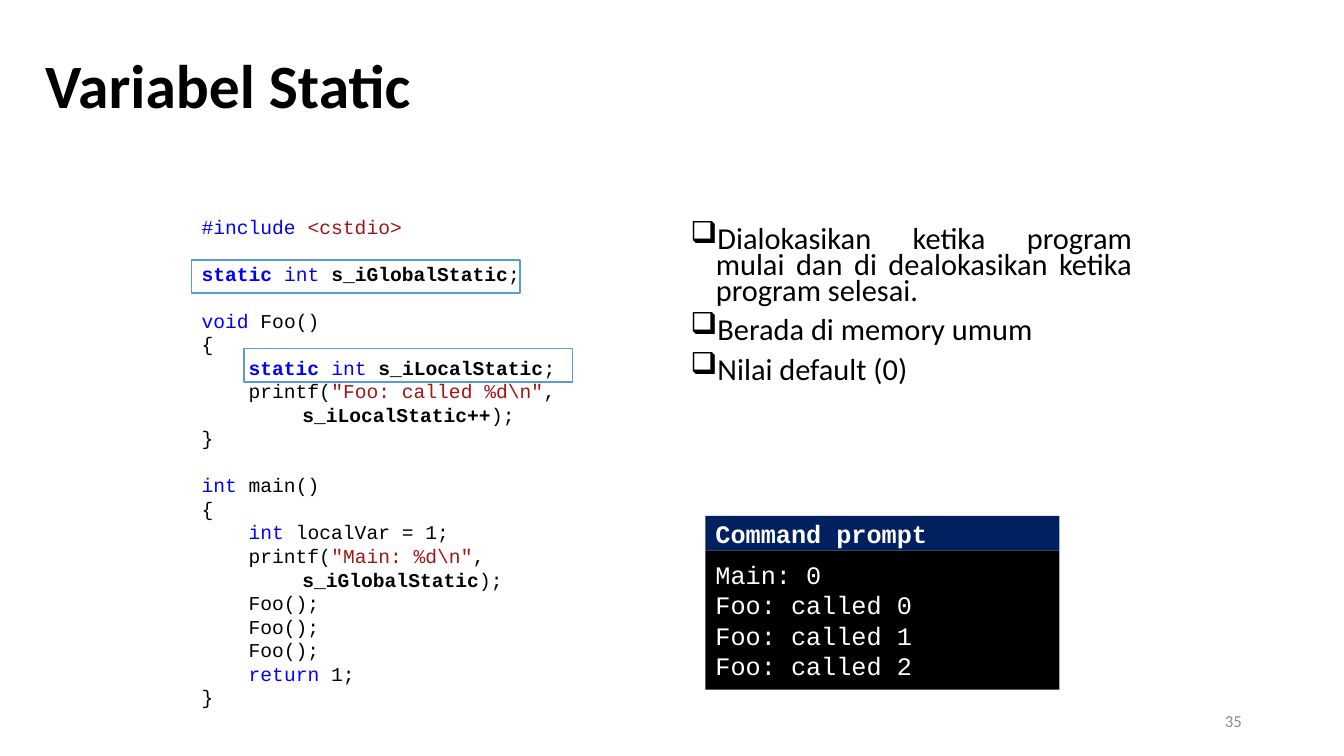
from dataclasses import dataclass
from typing import NamedTuple

from lxml import etree
from pptx import Presentation
from pptx.dml.color import RGBColor
from pptx.enum.shapes import MSO_SHAPE
from pptx.enum.text import MSO_ANCHOR, PP_ALIGN
from pptx.oxml.ns import qn
from pptx.util import Cm, Pt

RECT = MSO_SHAPE.RECTANGLE
TOP, MIDDLE = MSO_ANCHOR.TOP, MSO_ANCHOR.MIDDLE
LEFT, RIGHT, JUSTIFY = PP_ALIGN.LEFT, PP_ALIGN.RIGHT, PP_ALIGN.JUSTIFY

SANS, MONO = "Calibri", "Courier New"
BLACK, WHITE, NAVY = "000000", "FFFFFF", "002060"
BLUE, RED, SKY, GRAY = "0000FF", "A31515", "5B9BD5", "8C8C8C"


class Box(NamedTuple):
    """Left, top, width and height in centimetres."""
    x: float
    y: float
    w: float
    h: float


class Span(NamedTuple):
    text: str
    color: str = BLACK
    bold: bool = False


@dataclass
class Line:
    spans: list[Span]
    before: float = 0


@dataclass
class Style:
    font: str
    size: float
    align: PP_ALIGN = LEFT
    anchor: MSO_ANCHOR = TOP
    space: float = 1
    bullet: str = ""


def rgb(color: str) -> RGBColor:
    return RGBColor.from_string(color)


def place(box: Box) -> list[Cm]:
    return [Cm(side) for side in box]


def mark(para, sign: str) -> None:
    """Give a paragraph a bullet with a hanging indent."""
    props = para._p.get_or_add_pPr()
    props.set("marL", str(Cm(0.64)))
    props.set("indent", str(-Cm(0.64)))
    etree.SubElement(props, qn("a:buChar")).set("char", sign)


def write(shape, lines: list[Line], style: Style) -> None:
    frame = shape.text_frame
    frame.word_wrap = True
    frame.vertical_anchor = style.anchor
    for i, line in enumerate(lines):
        para = frame.add_paragraph() if i else frame.paragraphs[0]
        if style.bullet:
            mark(para, style.bullet)
        para.alignment = style.align
        para.line_spacing = style.space
        para.space_before = Pt(line.before)
        for span in line.spans:
            run = para.add_run()
            run.text = span.text
            run.font.name = style.font
            run.font.size = Pt(style.size)
            run.font.bold = span.bold
            run.font.color.rgb = rgb(span.color)


def label(shapes, box: Box, lines: list[Line], style: Style) -> None:
    write(shapes.add_textbox(*place(box)), lines, style)


def panel(shapes, box: Box, fill: str = "", edge: str = ""):
    shape = shapes.add_shape(RECT, *place(box))
    shape.shadow.inherit = False
    if fill:
        shape.fill.solid()
        shape.fill.fore_color.rgb = rgb(fill)
    else:
        shape.fill.background()
    if edge:
        shape.line.color.rgb = rgb(edge)
        shape.line.width = Pt(1)
    else:
        shape.line.fill.background()
    return shape


def plain(text: str, color: str = BLACK, bold: bool = False, before: float = 0) -> Line:
    return Line([Span(text, color, bold)], before)


def static(name: str, lead: str = "", before: float = 0) -> Line:
    """Code line that declares a static integer."""
    return Line([Span(lead + "static ", BLUE, True), Span("int ", BLUE),
                 Span(name, BLACK, True), Span(";")], before)


def head(kind: str, name: str) -> Line:
    return Line([Span(kind, BLUE), Span(f" {name}()")], GAP)


def output(text: str, name: str) -> list[Line]:
    """Two code lines that print a static variable."""
    return [Line([Span("    printf("), Span(text, RED), Span(",")]),
            Line([Span("\t\t"), Span(name, BLACK, True), Span(");")])]


GAP = 16.8  # one empty line of code
CODE = [
    Line([Span("#include ", BLUE), Span("<cstdio>", RED)]),
    static("s_iGlobalStatic", before=GAP),
    head("void", "Foo"),
    plain("{"),
    static("s_iLocalStatic", lead="    "),
    *output('"Foo: called %d\\n"', "s_iLocalStatic++"),
    plain("}"),
    head("int", "main"),
    plain("{"),
    Line([Span("    "), Span("int ", BLUE), Span("localVar = 1;")]),
    *output('"Main: %d\\n"', "s_iGlobalStatic"),
    *[plain("    Foo();")] * 3,
    Line([Span("    "), Span("return", BLUE), Span(" 1;")]),
    plain("}"),
]
POINTS = [
    "Dialokasikan ketika program mulai dan di dealokasikan ketika program selesai.",
    "Berada di memory umum",
    "Nilai default (0)",
]
PROMPT = ["Main: 0", *[f"Foo: called {n}" for n in range(3)]]
FRAMES = [Box(4.83, 6.55, 8.28, 0.84), Box(6.15, 8.79, 8.28, 0.84)]


def main() -> None:
    deck = Presentation()
    deck.slide_width, deck.slide_height = Cm(33.87), Cm(19.05)
    shapes = deck.slides.add_slide(deck.slide_layouts[6]).shapes

    label(shapes, Box(0.89, 0.38, 27.89, 3.68), [plain("Variabel Static", bold=True)],
          Style(SANS, 44, anchor=MIDDLE, space=0.9))
    label(shapes, Box(17.15, 5.66, 11.63, 4.5),
          [plain(text, before=10 if i else 0) for i, text in enumerate(POINTS)],
          Style(SANS, 21.7, JUSTIFY, space=0.7, bullet="❑"))
    label(shapes, Box(4.83, 5.28, 12.7, 12.83), CODE, Style(MONO, 14))
    for box in FRAMES:
        panel(shapes, box, edge=SKY)

    group = shapes.add_group_shape().shapes
    shell = Style(MONO, 18, anchor=MIDDLE)
    screen = panel(group, Box(17.78, 13.87, 8.92, 3.51), BLACK)
    write(screen, [plain(text, WHITE) for text in PROMPT], shell)
    bar = panel(group, Box(17.78, 13, 8.92, 0.87), NAVY)
    write(bar, [plain("Command prompt", WHITE, True)], shell)

    label(shapes, Box(23.93, 17.65, 7.62, 1.02), [plain("35", GRAY)],
          Style(SANS, 12, RIGHT, MIDDLE))
    deck.save("out.pptx")


if __name__ == "__main__":
    main()
